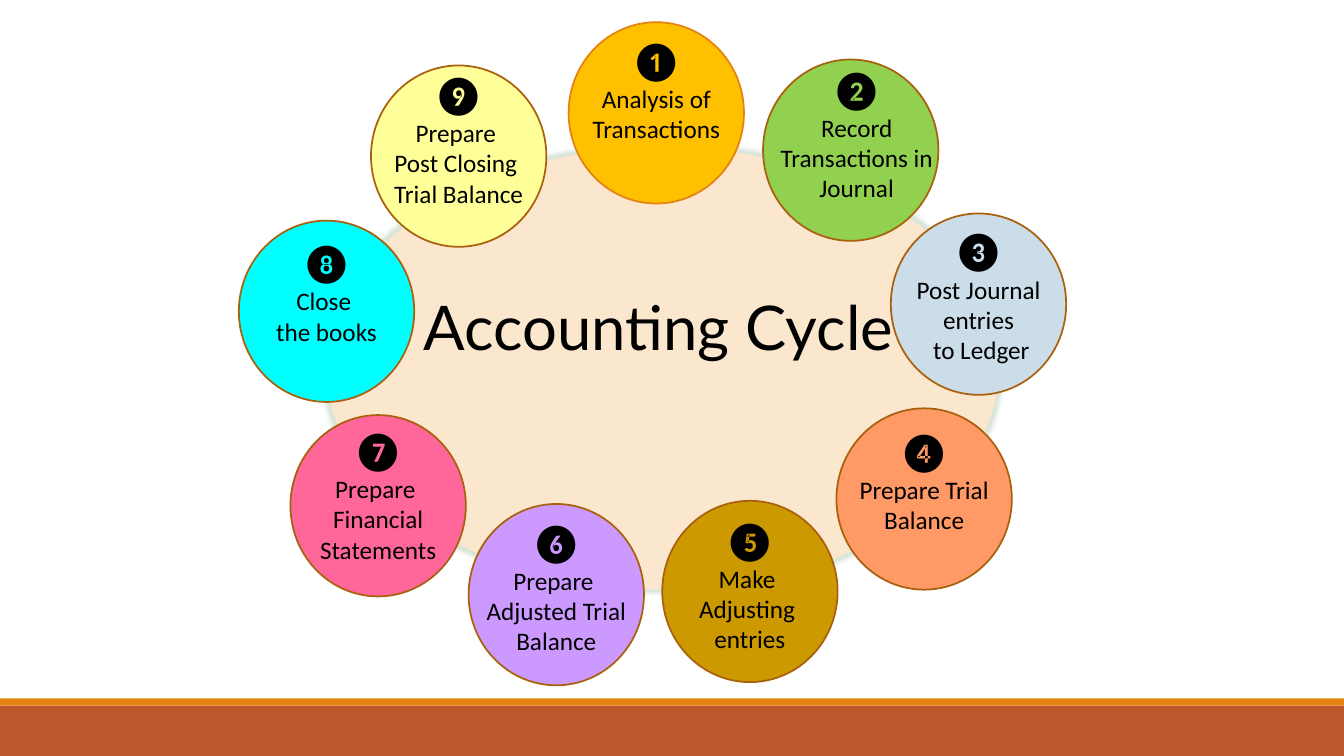
import pptx
import pptx.util
import pptx.dml.color
import pptx.enum.shapes
import pptx.enum.text
import lxml.etree

Cm, Pt = pptx.util.Cm, pptx.util.Pt
RGBColor = pptx.dml.color.RGBColor
Kind = pptx.enum.shapes.MSO_SHAPE

BLACK = RGBColor(0x00, 0x00, 0x00)
RUST = RGBColor(0xBD, 0x58, 0x2C)
ORANGE = RGBColor(0xE4, 0x83, 0x12)
BROWN = RGBColor(0xA9, 0x61, 0x0D)
CREAM = RGBColor(0xFB, 0xE6, 0xCE)
GOLD = RGBColor(0xFF, 0xC0, 0x00)
GREEN = RGBColor(0x92, 0xD0, 0x50)
PALE = RGBColor(0xCC, 0xDD, 0xEA)
PEACH = RGBColor(0xFF, 0x99, 0x66)
OCHRE = RGBColor(0xCC, 0x99, 0x00)
LILAC = RGBColor(0xCC, 0x99, 0xFF)
PINK = RGBColor(0xFF, 0x66, 0x99)
CYAN = RGBColor(0x00, 0xFF, 0xFF)
LEMON = RGBColor(0xFF, 0xFF, 0x99)
SAGE = RGBColor(0xB4, 0xCB, 0xB4)

WIDE, HIGH = 33.87, 19.05
DISC_W, DISC_H = 4.42, 4.57
TEXT_W = 4.88

# numeral, lines, rows when wrapped, fill, line, left, top, text top, text shift
STEPS = [
    ("❶", ["Analysis of Transactions"], 2, GOLD, ORANGE, 14.33, 0.56, 0.79, 0),
    ("❷", ["Record Transactions in Journal"], 3, GREEN, BROWN, 19.23, 1.5, 1.52, 0.15),
    ("❸", ["Post Journal entries", " to Ledger"], 3, PALE, BROWN, 22.45, 5.38, 5.59, 0),
    ("❹", ["Prepare Trial Balance"], 2, PEACH, BROWN, 21.08, 10.29, 10.64, 0),
    ("❺", ["Make ", "Adjusting ", "entries"], 3, OCHRE, BROWN, 16.69, 12.62, 12.88, 0),
    ("❻", ["Prepare ", "Adjusted Trial Balance"], 3, LILAC, BROWN, 11.81, 12.7, 12.93, 0),
    ("❼", ["Prepare ", "Financial Statements"], 3, PINK, BROWN, 7.32, 10.46, 10.62, 0),
    ("❽", ["Close ", "the books"], 2, CYAN, BROWN, 6.02, 5.56, 5.89, 0),
    ("❾", ["Prepare ", "Post Closing ", "Trial Balance"], 3, LEMON, BROWN, 9.35, 1.65, 1.65, 0),
]


def add_form(slide, kind, left, top, width, height, fill, line=None):
    form = slide.shapes.add_shape(kind, Cm(left), Cm(top), Cm(width), Cm(height))
    form.shadow.inherit = False
    form.fill.solid()
    form.fill.fore_color.rgb = fill
    if line is None:
        form.line.fill.background()
    else:
        form.line.color.rgb = line
        form.line.width = Pt(1.25)
    return form


def add_glow(form, color, size):
    """Put a soft, half-clear rim around a form."""
    space = pptx.oxml.ns.qn
    effects = form._element.spPr.find(space("a:effectLst"))
    glow = lxml.etree.SubElement(effects, space("a:glow"), rad=str(size))
    tint = lxml.etree.SubElement(glow, space("a:srgbClr"), val=str(color))
    lxml.etree.SubElement(tint, space("a:alpha"), val="50000")


def add_text(slide, left, top, width, height, lines):
    """Add centred text; each line is a tuple of words, size and font."""
    box = slide.shapes.add_textbox(Cm(left), Cm(top), Cm(width), Cm(height))
    frame = box.text_frame
    frame.word_wrap = True
    frame.auto_size = pptx.enum.text.MSO_AUTO_SIZE.SHAPE_TO_FIT_TEXT
    for index, (words, size, font) in enumerate(lines):
        para = frame.add_paragraph() if index else frame.paragraphs[0]
        para.alignment = pptx.enum.text.PP_ALIGN.CENTER
        run = para.add_run()
        run.text = words
        run.font.size = Pt(size)
        run.font.name = font
        run.font.color.rgb = BLACK


def add_step(slide, mark, words, rows, fill, line, left, top, text_top, shift):
    add_form(slide, Kind.FLOWCHART_CONNECTOR, left, top, DISC_W, DISC_H, fill, line)
    lines = [(mark, 28, "Calibri")] + [(part, 18, "Calibri") for part in words]
    text_left = left + (DISC_W - TEXT_W) / 2 + shift
    add_text(slide, text_left, text_top, TEXT_W, 1.36 + 0.68 * rows, lines)


def main():
    deck = pptx.Presentation()
    deck.slide_width, deck.slide_height = Cm(WIDE), Cm(HIGH)
    slide = deck.slides.add_slide(deck.slide_layouts[6])

    add_form(slide, Kind.RECTANGLE, 0, 17.78, WIDE, 1.27, RUST)
    add_form(slide, Kind.RECTANGLE, 0, 17.6, WIDE, 0.18, ORANGE)
    hub = add_form(slide, Kind.FLOWCHART_CONNECTOR, 8.23, 3.71, 16.94, 11.15, CREAM)
    add_glow(hub, SAGE, Pt(5))
    for step in STEPS:
        add_step(slide, *step)
    add_text(slide, 10.29, 7.16, 12.62, 4.01, [("Accounting Cycle", 44, "Lato")])
    deck.save("out.pptx")


if __name__ == "__main__":
    main()
